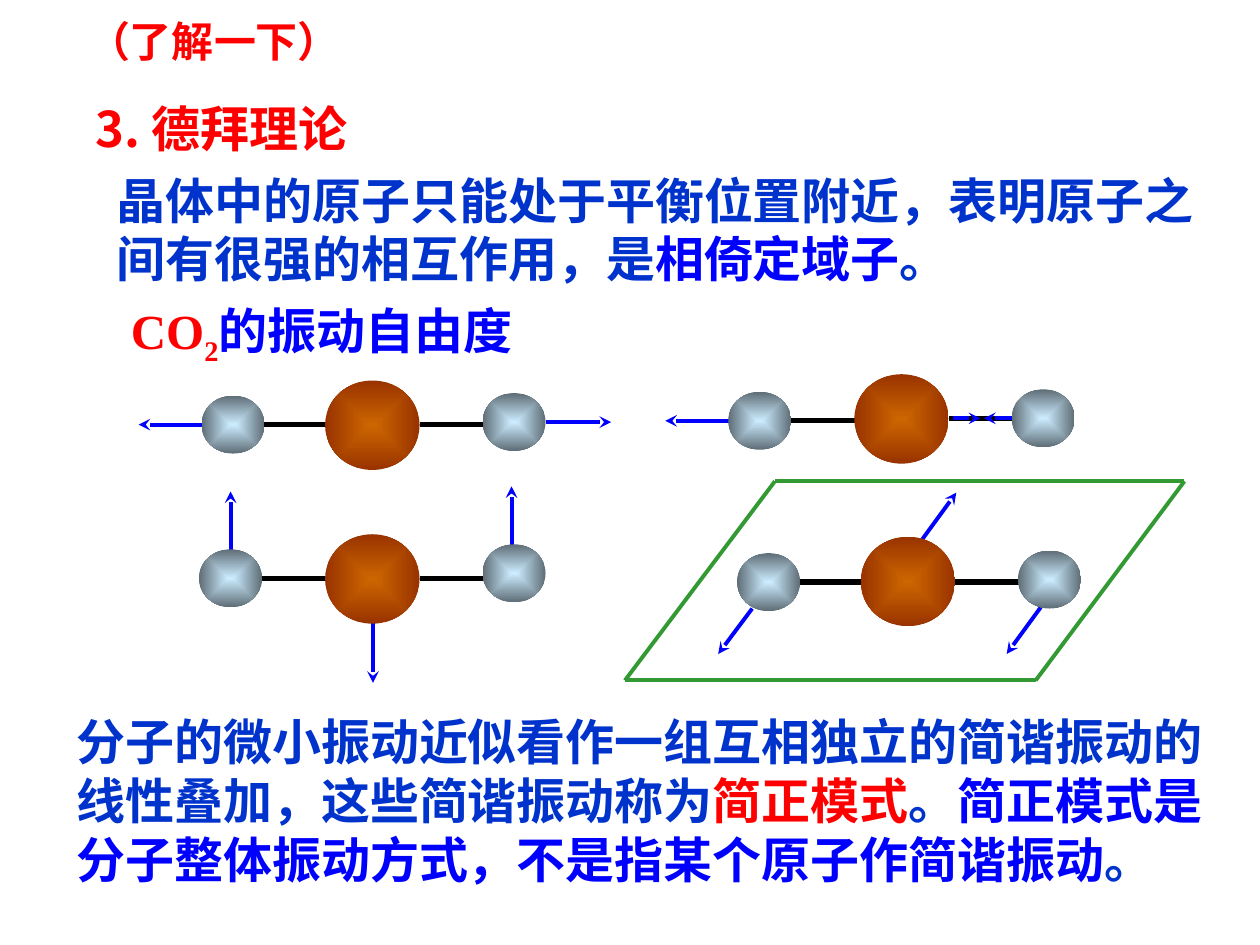
from lxml.etree import SubElement
from pptx import Presentation
from pptx.dml.color import RGBColor
from pptx.enum.shapes import MSO_CONNECTOR, MSO_SHAPE
from pptx.oxml.ns import qn
from pptx.util import Inches, Pt

RED = RGBColor(0xFF, 0x00, 0x00)
BLUE = RGBColor(0x00, 0x00, 0xFF)
NAVY = RGBColor(0x00, 0x33, 0xCC)
GREEN = RGBColor(0x33, 0x99, 0x33)
BLACK = RGBColor(0x00, 0x00, 0x00)
CARBON = (RGBColor(0xCC, 0x66, 0x00), RGBColor(0x99, 0x33, 0x00))
OXYGEN = (RGBColor(0xCC, 0xEC, 0xFF), RGBColor(0x5E, 0x6D, 0x76))
SERIF, SANS, HAN = "Times New Roman", "Arial", "Noto Sans CJK SC"

WIDTH, HEIGHT = Inches(10), Inches(7.5)
CELL = WIDTH / 100

TEXTS = [
    ((6, 0.4, 36.8, 5), 24, [("（了解一下）", SERIF, RED)]),
    ((6.6, 7, 88.8, 5.7), 28, [("3. 德拜理论", HAN, RED)]),
    ((8.3, 12.7, 89.4, 10.3), 28, [
        ("晶体中的原子只能处于平衡位置附近，表明原子之间有很强的相互作用，是", SERIF, NAVY),
        ("相倚定域子", HAN, BLUE),
        ("。", SERIF, NAVY)]),
    ((9.4, 23.7, 35.8, 5.7), 28, [
        ("CO", SERIF, RED),
        ("2", SERIF, RED, -25),
        ("的振动自由度", SERIF, BLUE)]),
    ((5.1, 55.7, 92.7, 15.1), 28, [
        ("分子的微小振动近似看作一组互相独立的简谐振动的线性叠加，这些简谐振动称为", SANS, NAVY),
        ("简正模式", HAN, RED),
        ("。", SANS, NAVY),
        ("简正模式是分子整体振动方式，不是指某个原子作简谐振动", HAN, BLUE),
        ("。", SANS, NAVY)]),
]

MODES = [
    {"atoms": [(18.5, 33.7), (29.55, 33.75), (40.8, 33.5)], "bonds": (33.7, 33.7),
     "arrows": [(16.2, 33.7, 11, 33.7), (43.3, 33.5, 48.5, 33.5)]},
    {"atoms": [(60.3, 33.4), (71.55, 33.25), (82.8, 33.2)], "bonds": (33.4, 33.2),
     "arrows": [(58.1, 33.4, 52.8, 33.4), (75.6, 33.2, 77.8, 33.2),
                (80.3, 33.2, 78.1, 33.2)]},
    {"atoms": [(18.3, 45.9), (29.55, 45.95), (40.8, 45.5)], "bonds": (45.9, 45.9),
     "arrows": [(18.3, 44, 18.3, 39), (40.6, 43.4, 40.6, 38.6),
                (29.6, 49.2, 29.6, 54.2)]},
    {"atoms": [(61, 46.2), (72.05, 46.15), (83.3, 46)], "bonds": (46.2, 46.2),
     "arrows": [(73.2, 42.8, 75.9, 39.1), (59.7, 48.3, 57, 51.9),
                (82.6, 48.2, 79.9, 51.9)]},
]
SIZES = [(5, 4.6, OXYGEN), (7.5, 7.1, CARBON), (5, 4.6, OXYGEN)]
SPANS = [(-8.75, -3.55), (3.75, 8.95)]
PLANE = [(61.5, 38.2), (94, 38.2), (82.2, 54), (49.6, 54)]


def grid(*nums):
    return [round(num * CELL) for num in nums]


def write(slide, runs, box, size):
    frame = slide.shapes.add_textbox(*grid(*box)).text_frame
    frame.word_wrap = True
    frame.margin_top = Inches(0.08)
    para = frame.paragraphs[0]
    para.line_spacing = Pt(size * 1.2)
    for words, face, color, *shift in runs:
        run = para.add_run()
        run.text = words
        font = run.font
        font.size, font.bold, font.name = Pt(size), True, face
        font.color.rgb = color
        props = run._r.get_or_add_rPr()
        SubElement(props, qn("a:ea"), typeface=HAN)
        if shift:
            props.set("baseline", str(shift[0] * 1000))


def draw(slide, ends, color, width, arrow=False):
    line = slide.shapes.add_connector(MSO_CONNECTOR.STRAIGHT, *grid(*ends))
    line.line.color.rgb = color
    line.line.width = Pt(width)
    if arrow:
        SubElement(line.line._get_or_add_ln(), qn("a:tailEnd"), type="stealth")
    SubElement(line._element.spPr, qn("a:effectLst"))


def ball(slide, spot, wide, high, tones):
    x, y = spot
    box = grid(x - wide / 2, y - high / 2, wide, high)
    atom = slide.shapes.add_shape(MSO_SHAPE.OVAL, *box)
    atom.shadow.inherit = False
    atom.line.fill.background()
    atom.fill.gradient()
    for stop, tone in zip(atom.fill.gradient_stops, tones):
        stop.color.rgb = tone
    grad = atom._element.spPr.find(qn("a:gradFill"))
    grad.remove(grad.find(qn("a:lin")))
    path = SubElement(grad, qn("a:path"), path="shape")
    SubElement(path, qn("a:fillToRect"), l="50000", t="50000", r="50000", b="50000")


def main():
    deck = Presentation()
    deck.slide_width, deck.slide_height = WIDTH, HEIGHT
    slide = deck.slides.add_slide(deck.slide_layouts[6])
    for box, size, runs in TEXTS:
        write(slide, runs, box=box, size=size)
    for mode in MODES:
        mid = mode["atoms"][1][0]
        for (start, end), y in zip(SPANS, mode["bonds"]):
            draw(slide, (mid + start, y, mid + end, y), BLACK, 3)
        for ends in mode["arrows"]:
            draw(slide, ends, BLUE, 2.25, arrow=True)
        for spot, (wide, high, tones) in zip(mode["atoms"], SIZES):
            ball(slide, spot, wide, high, tones)
    for start, end in zip(PLANE, PLANE[1:] + PLANE[:1]):
        draw(slide, start + end, GREEN, 2.25)
    deck.save("out.pptx")


if __name__ == "__main__":
    main()
